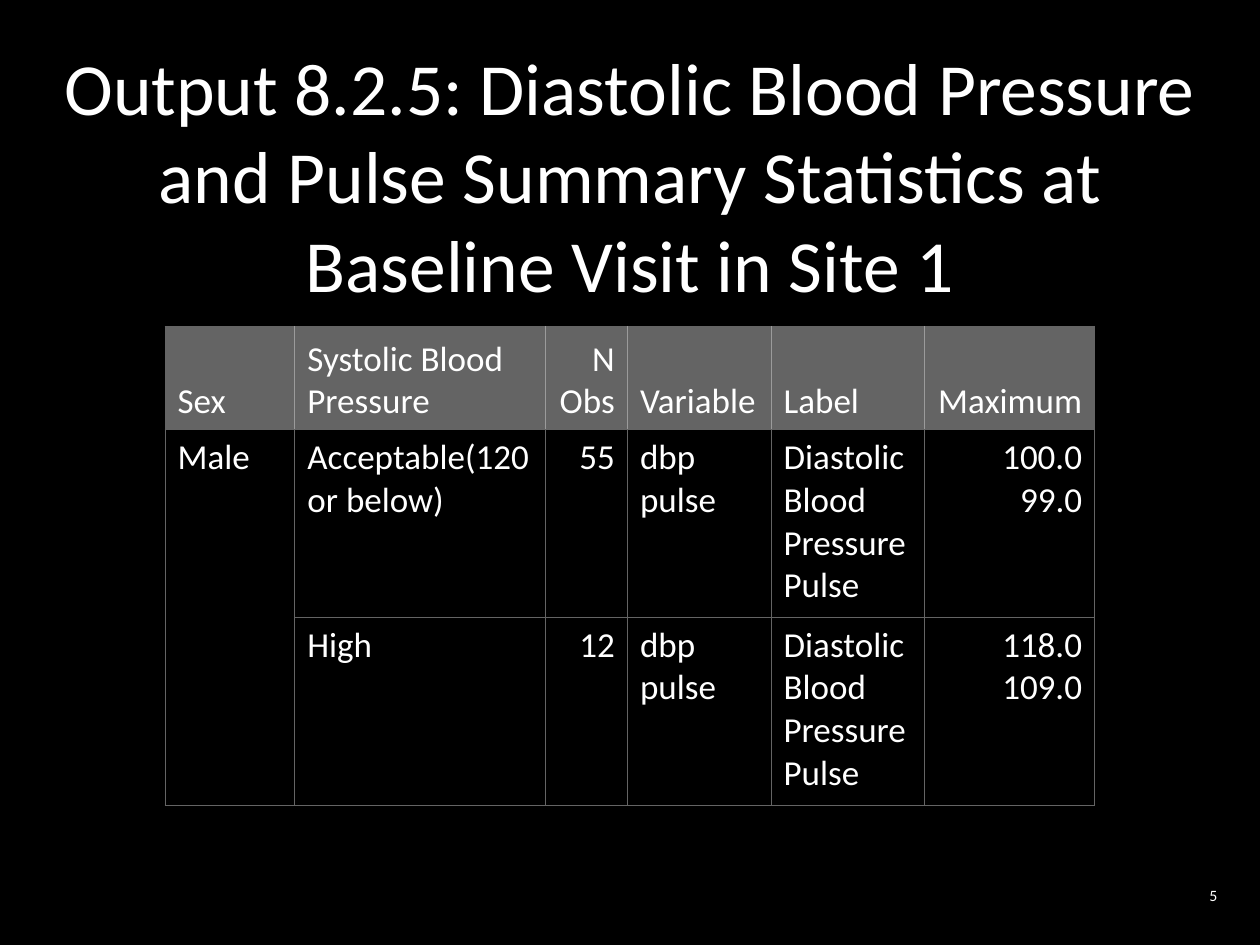
from lxml.etree import SubElement
from pptx import Presentation
from pptx.dml.color import RGBColor
from pptx.enum.text import MSO_ANCHOR, PP_ALIGN
from pptx.oxml.ns import qn
from pptx.util import Inches, Pt

BLACK = RGBColor(0x00, 0x00, 0x00)
WHITE = RGBColor(0xFF, 0xFF, 0xFF)
GRAY = RGBColor(0x64, 0x64, 0x64)
LIGHT_GRAY = RGBColor(0x9B, 0x9B, 0x9B)

TITLE = ("Output 8.2.5: Diastolic Blood Pressure\n"
         "and Pulse Summary Statistics at\nBaseline Visit in Site 1")
COL_WIDTHS = [1.03, 1.99, 0.65, 1.14, 1.22, 1.35]
ROW_HEIGHTS = [0.82, 1.49, 1.49]
RIGHT_COLS = (2, 5)
VARIABLES = "dbp\npulse"
LABELS = "Diastolic\nBlood\nPressure\nPulse"
ROWS = [
    ["Sex", "Systolic Blood\nPressure", "N\nObs", "Variable", "Label", "Maximum"],
    ["Male", "Acceptable(120\nor below)", "55", VARIABLES, LABELS, "100.0\n99.0"],
    ["", "High", "12", VARIABLES, LABELS, "118.0\n109.0"],
]


def write(tf, text, size, align):
    p = tf.paragraphs[0]
    p.text = text
    p.alignment = align
    formats = {"name": "Calibri", "size": Pt(size)}
    for r in p.runs:
        for name, value in formats.items():
            setattr(r.font, name, value)
        r.font.color.rgb = WHITE


def add_text(s, box, text, size, align):
    sp = s.shapes.add_textbox(*map(Inches, box))
    tf = sp.text_frame
    tf.word_wrap = True
    tf.vertical_anchor = MSO_ANCHOR.MIDDLE
    write(tf, text, size, align)


def set_borders(cell, colors):
    """Draw half-point borders; colors maps a side (L, R, T, B) to its colour."""
    tcPr = cell._tc.get_or_add_tcPr()
    for side, color in colors.items():
        ln = SubElement(tcPr, qn(f"a:ln{side}"), w=str(Pt(0.5)))
        fill = SubElement(ln, qn("a:solidFill"))
        SubElement(fill, qn("a:srgbClr"), val=str(color))


def format_cell(cell, row, col):
    colors = dict.fromkeys("LRTB", GRAY)
    if row == 0:
        colors["B"] = LIGHT_GRAY
        if col > 0:
            colors["L"] = LIGHT_GRAY
        if col < len(COL_WIDTHS) - 1:
            colors["R"] = LIGHT_GRAY
    set_borders(cell, colors)
    if row == 0:
        cell.fill.solid()
        cell.fill.fore_color.rgb = GRAY
        cell.vertical_anchor = MSO_ANCHOR.BOTTOM
    else:
        cell.fill.background()
        cell.vertical_anchor = MSO_ANCHOR.TOP


def add_statistics_table(s, left, top):
    table = s.shapes.add_table(
        len(ROW_HEIGHTS), len(COL_WIDTHS), Inches(left), Inches(top),
        Inches(sum(COL_WIDTHS)), Inches(sum(ROW_HEIGHTS))).table
    table.first_row = table.horz_banding = False
    for column, width in zip(table.columns, COL_WIDTHS):
        column.width = Inches(width)
    for row, height in zip(table.rows, ROW_HEIGHTS):
        row.height = Inches(height)
    for i, texts in enumerate(ROWS):
        for j, text in enumerate(texts):
            cell = table.cell(i, j)
            format_cell(cell, i, j)
            align = PP_ALIGN.RIGHT if j in RIGHT_COLS else PP_ALIGN.LEFT
            write(cell.text_frame, text, 20, align)
    table.cell(1, 0).merge(table.cell(2, 0))


def main():
    prs = Presentation()
    prs.slide_width, prs.slide_height = Inches(10), Inches(7.5)
    s = prs.slides.add_slide(prs.slide_layouts[6])
    s.background.fill.solid()
    s.background.fill.fore_color.rgb = BLACK
    add_text(s, (0.25, 0.25, 9.5, 2.27), TITLE, 42, PP_ALIGN.CENTER)
    add_statistics_table(s, 1.31, 2.59)
    add_text(s, (7.38, 6.96, 2.38, 0.29), "5", 9, PP_ALIGN.RIGHT)
    prs.save("out.pptx")


if __name__ == "__main__":
    main()
